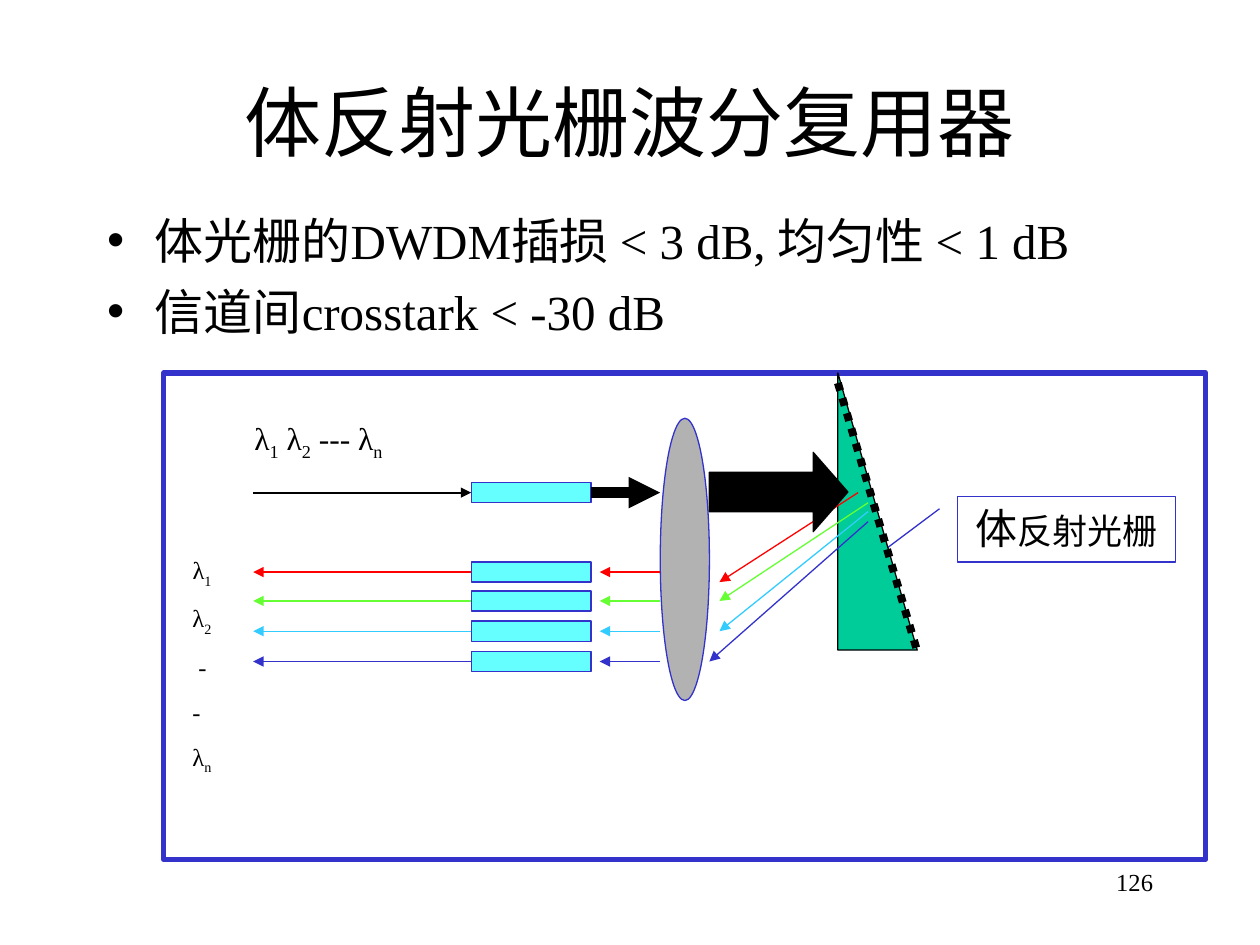
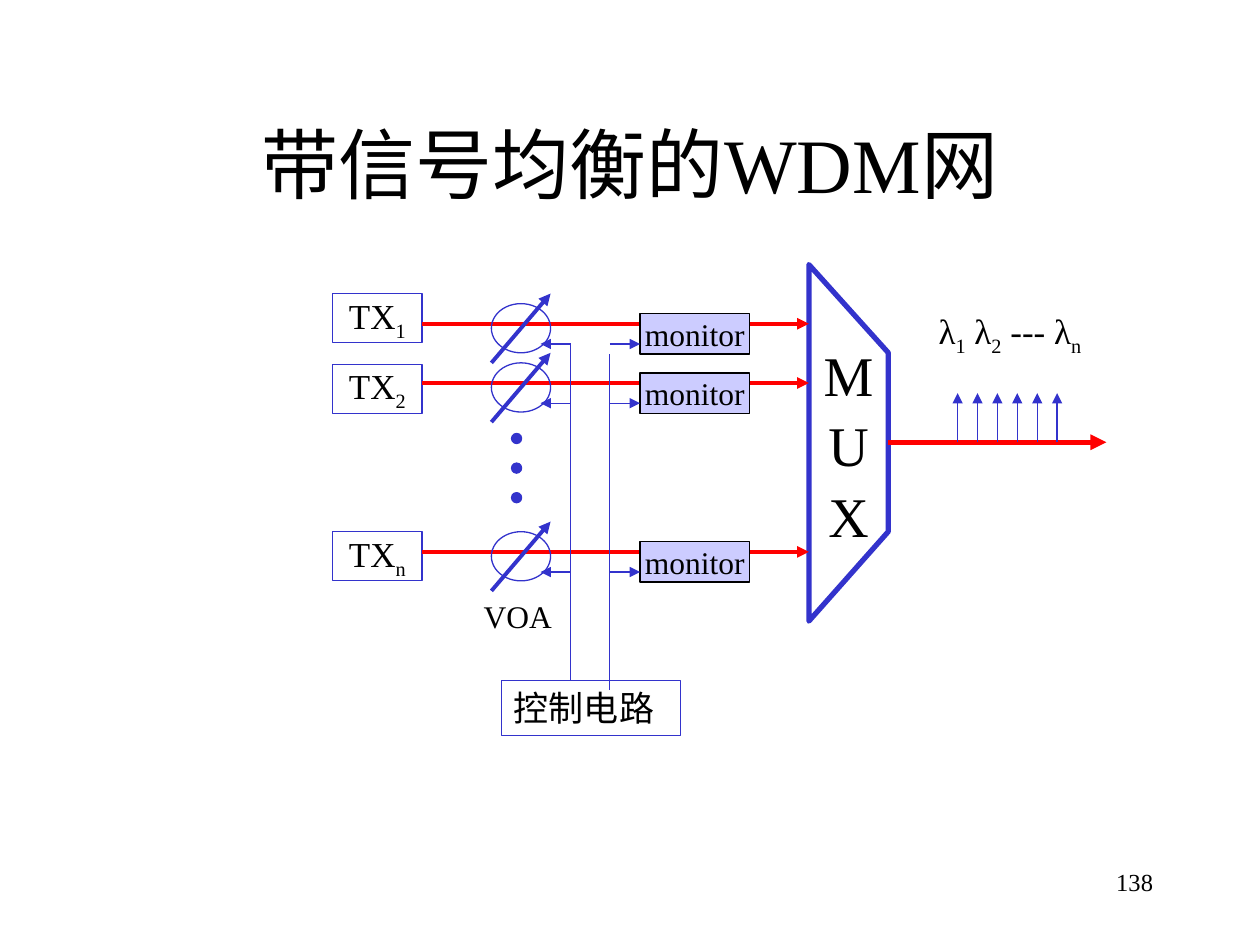
"""Builds two slides on wavelength multiplexing: a volume grating and an equalised network."""
from pptx import Presentation
from pptx.dml.color import RGBColor
from pptx.enum.dml import MSO_LINE
from pptx.enum.shapes import MSO_CONNECTOR, MSO_SHAPE
from pptx.enum.text import MSO_ANCHOR, MSO_AUTO_SIZE, PP_ALIGN
from pptx.oxml.ns import qn
from pptx.util import Inches, Pt

RECT, OVAL = MSO_SHAPE.RECTANGLE, MSO_SHAPE.OVAL
WEDGE, ARROW = MSO_SHAPE.RIGHT_TRIANGLE, MSO_SHAPE.RIGHT_ARROW
CALL = MSO_SHAPE.LINE_CALLOUT_1
STRAIGHT, DOTS = MSO_CONNECTOR.STRAIGHT, MSO_LINE.ROUND_DOT
LEFT, MID, RIGHT = PP_ALIGN.LEFT, PP_ALIGN.CENTER, PP_ALIGN.RIGHT
TOP, MIDDLE = MSO_ANCHOR.TOP, MSO_ANCHOR.MIDDLE
FIXED = MSO_AUTO_SIZE.NONE

THEME = {
    "font": "Times New Roman",
    "black": "000000", "blue": "3333CC", "red": "FF0000", "lime": "66FF33",
    "sky": "33CCFF", "cyan": "66FFFF", "gray": "B2B2B2", "teal": "00CC99",
    "pale": "CCCCFF",
    "title": 44, "mux": 32, "body": 28, "lead": 24, "label": 20, "note": 18, "small": 14,
    "thin": 0.75, "bold": 2.25, "thick": 3,
}

WAVES = "λ|1| λ|2| --- λ|n"

GRATING = {
    "title": "体反射光栅波分复用器",
    "page": "126",
    "list": ["体光栅的DWDM插损 < 3 dB, 均匀性 < 1 dB", "信道间crosstark < -30 dB"],
    "outs": ["λ|1", " λ|2", "  -", " -", " λ|n"],
    "call": "体||反射光栅",
    "rays": [
        ("red", 4.54, (6.81, 3.91), (5.71, 4.62)),
        ("lime", 4.77, (6.89, 3.99), (5.71, 4.77)),
        ("sky", 5.01, (6.89, 4.06), (5.71, 5.01)),
        ("blue", 5.25, (6.89, 4.14), (5.63, 5.25)),
    ],
}

NETWORK = {
    "title": "带信号均衡的WDM网",
    "page": "138",
    "rows": [("TX|1", 2.33, 2.57), ("TX|2", 2.89, 3.04), ("TX|n", 4.22, 4.38)],
    "meter": "monitor",
    "voa": "VOA",
    "mux": ["M", "U", "X"],
    "edge": [(6.42, 4.93), (7.05, 4.22), (7.05, 2.8), (6.42, 2.1)],
    "loop": "控制电路",
}


def put(obj, **vals):
    for key, val in vals.items():
        setattr(obj, key, val)


def color(name):
    return RGBColor.from_string(THEME[name])


def write(frame, lines, size, align=LEFT, anchor=TOP, gap=0, wrap=True, space=None):
    put(frame, word_wrap=wrap, auto_size=FIXED, vertical_anchor=anchor)
    for num, line in enumerate(lines):
        para = frame.add_paragraph() if num else frame.paragraphs[0]
        put(para, alignment=align, space_before=Pt(gap if num else 0), line_spacing=space)
        for pos, part in enumerate(line.split("|")):
            if not part:
                continue
            run = para.add_run()
            run.text = part
            put(run.font, name=THEME["font"], size=Pt(THEME[size]))
            run.font.color.rgb = color("black")
            if pos % 2:
                run._r.get_or_add_rPr().set("baseline", "-25000")


def place(shape, at):
    put(shape, **dict(zip(("left", "top", "width", "height"), map(Inches, at))))


def paint(shape, fill=None, line="blue", width="thin"):
    shape.shadow.inherit = False
    if fill:
        shape.fill.solid()
        shape.fill.fore_color.rgb = color(fill)
    else:
        shape.fill.background()
    shape.line.color.rgb = color(line)
    shape.line.width = Pt(THEME[width])


def draw(slide, kind, at, adjust=(), **look):
    shape = slide.shapes.add_shape(kind, *map(Inches, at))
    for num, val in enumerate(adjust):
        shape.adjustments[num] = val
    paint(shape, **look)
    return shape


def note(slide, at, lines, size, **look):
    write(slide.shapes.add_textbox(*map(Inches, at)).text_frame, lines, size, **look)


def wire(slide, start, end, tint="blue", width=THEME["thin"], tip=True, dash=None, join=None):
    line = slide.shapes.add_connector(STRAIGHT, *map(Inches, (*start, *end)))
    if join:
        side, shape, site = join
        (line.begin_connect if side == "begin" else line.end_connect)(shape, site)
    line.line.color.rgb = color(tint)
    line.line.width = Pt(width)
    if dash:
        line.line.dash_style = dash
    props = line._element.spPr
    if tip:
        edge = props.find(qn("a:ln"))
        edge.append(edge.makeelement(qn("a:tailEnd"), {"type": "triangle"}))
    props.append(props.makeelement(qn("a:effectLst"), {}))


def begin(deck, layout, data, at):
    slide = deck.slides.add_slide(deck.slide_layouts[layout])
    place(slide.shapes.title, at)
    write(slide.shapes.title.text_frame, [data["title"]], "title", MID, MIDDLE)
    note(slide, (7.17, 6.83, 2.08, 0.5), [data["page"]], "small", align=RIGHT)
    return slide


def fiber(slide, mid):
    return draw(slide, RECT, (3.74, mid - 0.08, 0.95, 0.16), fill="cyan")


def grating(deck):
    data = GRATING
    slide = begin(deck, 1, data, (0.75, 0.52, 8.5, 0.88))
    body = slide.placeholders[1]
    place(body, (0.75, 1.62, 8.5, 1.18))
    write(body.text_frame, data["list"], "body", gap=7)
    for para in body.text_frame.paragraphs:
        props = para._p.get_or_add_pPr()
        props.set("marL", str(Inches(0.38)))
        props.set("indent", str(Inches(-0.38)))

    draw(slide, OVAL, (5.24, 3.32, 0.39, 2.24), fill="gray")
    feed = fiber(slide, 3.91)
    wire(slide, (2.01, 3.91), (3.74, 3.91), "black", 1, join=("end", feed, 1))
    for tint, mid, _, _ in data["rays"]:
        wire(slide, (3.74, mid), (2.01, mid), tint, join=("begin", fiber(slide, mid), 1))
    note(slide, (1.92, 3.28, 1.74, 0.47), [WAVES], "note")
    note(slide, (1.43, 4.36, 0.66, 1.86), data["outs"][:1], "small")
    note(slide, (1.38, 4.74, 0.71, 1.48), data["outs"][1:], "small", gap=8.8)

    call = draw(slide, CALL, (7.6, 3.94, 1.73, 0.52), (0.188, -0.083, 1, -0.409))
    write(call.text_frame, [data["call"]], "label", MID)
    call.text_frame.paragraphs[0].runs[0].font.size = Pt(THEME["lead"])
    draw(slide, RECT, (1.3, 2.96, 8.27, 3.86), width="thick")
    draw(slide, WEDGE, (6.65, 2.96, 0.63, 2.2), fill="teal", line="black")
    wire(slide, (4.69, 3.91), (5.24, 3.91), "black", 6, join=("begin", feed, 3))
    for tint, mid, start, end in data["rays"]:
        wire(slide, start, end, tint)
        wire(slide, (5.24, mid), (4.76, mid), tint)
    wire(slide, (6.65, 3.04), (7.28, 5.17), "black", 4.5, tip=False, dash=DOTS)
    draw(slide, ARROW, (5.63, 3.59, 1.1, 0.63), (0.5, 0.437), fill="black", line="black")


def network(deck):
    data = NETWORK
    slide = begin(deck, 5, data, (0.75, 0.67, 8.5, 1.25))
    first, *rest = [tuple(map(Inches, spot)) for spot in data["edge"]]
    pen = slide.shapes.build_freeform(*first)
    pen.add_line_segments(rest, close=True)
    mux = pen.convert_to_shape()
    paint(mux, width="thick")
    write(mux.text_frame, data["mux"], "mux", MID, MIDDLE, wrap=False, space=1.05)

    for name, top, mid in data["rows"]:
        box = draw(slide, RECT, (2.64, top, 0.71, 0.39))
        write(box.text_frame, [name], "label", MID, MIDDLE, wrap=False)
        wire(slide, (3.35, mid), (6.42, mid), "red", THEME["bold"])
        draw(slide, OVAL, (3.9, mid - 0.16, 0.47, 0.39))
        wire(slide, (3.9, mid + 0.31), (4.37, mid - 0.24), width=THEME["bold"])
        meter = draw(slide, RECT, (5.08, mid - 0.08, 0.87, 0.32), fill="pale", line="black")
        write(meter.text_frame, [data["meter"]], "note", MID, MIDDLE, wrap=False)
        for start, end in ((4.53, 4.29), (4.84, 5.08)):
            wire(slide, (start, mid + 0.16), (end, mid + 0.16))

    for num in range(3):
        draw(slide, OVAL, (4.06, 3.44 + 0.235 * num, 0.08, 0.08), fill="blue")
    note(slide, (3.74, 4.69, 0.79, 0.4), [data["voa"]], "note")
    loop = draw(slide, RECT, (3.98, 5.4, 1.42, 0.44))
    write(loop.text_frame, [data["loop"]], "label")
    for left, top in ((4.53, 2.73), (4.84, 2.81)):
        wire(slide, (left, top), (left, top + 2.67), tip=False)

    wire(slide, (7.05, 3.51), (8.78, 3.51), "red", THEME["thick"])
    note(slide, (7.35, 2.41, 1.58, 0.48), [WAVES], "label")
    for num in range(6):
        left = 7.6 + 0.158 * num
        wire(slide, (left, 3.51), (left, 3.12))


def main():
    deck = Presentation()
    put(deck, slide_width=Inches(10), slide_height=Inches(7.5))
    grating(deck)
    network(deck)
    deck.save("out.pptx")


if __name__ == "__main__":
    main()
